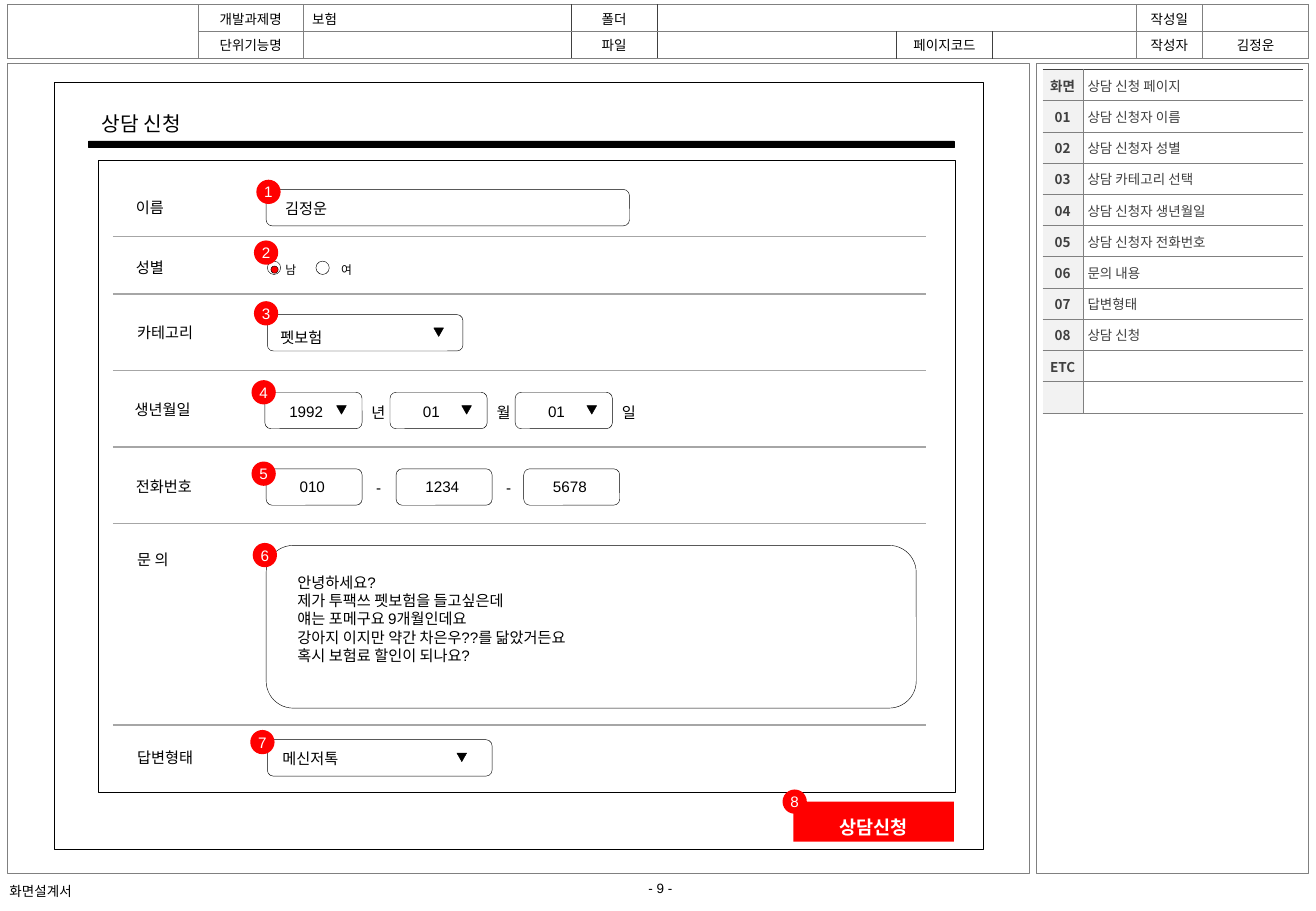
from dataclasses import dataclass

from lxml.etree import SubElement
from pptx import Presentation
from pptx.dml.color import RGBColor
from pptx.enum.shapes import MSO_CONNECTOR, MSO_SHAPE
from pptx.enum.text import MSO_ANCHOR, PP_ALIGN
from pptx.oxml.ns import qn
from pptx.util import Inches, Pt

KOREAN_FONT = "Noto Sans CJK KR"
LEFT, CENTER, JUSTIFY = PP_ALIGN.LEFT, PP_ALIGN.CENTER, PP_ALIGN.JUSTIFY
BLACK, WHITE, RED, GRAY, DARK = "000000", "FFFFFF", "FF0000", "808080", "404040"


@dataclass
class Label:
    text: str
    left: float
    top: float


@dataclass
class Field:
    left: float
    top: float
    width: float
    text: str
    center: float  # middle of the text, from the left edge
    arrow: float | None = None  # arrow position, from the left edge
    drop: float = 0.03  # text box position, from the top edge


@dataclass
class Border:
    color: str = GRAY
    width: float = 0.25


LABELS = [
    Label("이름", 1.02, 1.58), Label("성별", 1.02, 2.08), Label("카테고리", 1.03, 2.61),
    Label("생년월일", 1.01, 3.25), Label("전화번호", 1.02, 3.88),
    Label("문 의", 1.03, 4.48), Label("답변형태", 1.03, 6.11),
]
FIELDS = [
    Field(2.19, 1.56, 2.99, "김정운", 0.33),
    Field(2.2, 2.59, 1.61, "펫보험", 0.28, 1.37, 0.06),
    *[Field(2.18 + 1.03 * i, 3.23, 0.8, t, 0.34, 0.59) for i, t in enumerate(["1992", "01", "01"])],
    *[Field(x, 3.86, 0.79, t, 0.38, drop=0.02)
      for x, t in [(2.19, "010"), (3.26, "1234"), (4.31, "5678")]],
    Field(2.2, 6.09, 1.85, "메신저톡", 0.355, 1.56),
]
DIVIDERS = [1.95, 2.42, 3.05, 3.68, 4.31, 5.97]
BADGES = [(2.11, 1.48), (2.09, 1.98), (2.09, 2.48), (2.07, 3.13),
          (2.07, 3.8), (2.08, 4.47), (2.06, 6.01), (6.44, 6.5)]
INQUIRY = ["안녕하세요?", "제가 투팩쓰 펫보험을 들고싶은데", "얘는 포메구요 9개월인데요",
           "강아지 이지만 약간 차은우??를 닮았거든요", "혹시 보험료 할인이 되나요?"]
HEADER_COLS = [1.57, 0.87, 2.2, 0.71, 1.97, 0.79, 1.18, 0.55, 0.87]
HEADER_ROWS = [["", "개발과제명", "보험", "폴더", "", "", "", "작성일", ""],
               ["", "단위기능명", "", "파일", "", "페이지코드", "", "작성자", "김정운"]]
NOTES = [("화면", "상담 신청 페이지"), ("01", "상담 신청자 이름"), ("02", "상담 신청자 성별"),
         ("03", "상담 카테고리 선택"), ("04", "상담 신청자 생년월일"),
         ("05", "상담 신청자 전화번호"), ("06", "문의 내용"), ("07", "답변형태"),
         ("08", "상담 신청"), ("ETC", ""), ("", "")]

prs = Presentation()
prs.slide_width, prs.slide_height = Inches(10.83), Inches(7.5)
s = prs.slides.add_slide(prs.slide_layouts[6])


def rgb(color: str) -> RGBColor:
    return RGBColor.from_string(color)


def write(tf, lines: list[str], size: float, color: str = BLACK, align=LEFT,
          bold: bool = False, font: str = "Arial") -> None:
    for i, line in enumerate(lines):
        p = tf.add_paragraph() if i else tf.paragraphs[0]
        p.alignment = align
        p.font.size, p.font.bold, p.font.name = Pt(size), bold, font
        p.font.color.rgb = rgb(color)
        if line:
            r = p.add_run()
            r.text = line
            SubElement(r.font._element, qn("a:ea"), typeface=KOREAN_FONT)
        else:
            SubElement(p._p, qn("a:endParaRPr"), sz=str(int(size * 100)))


def add_text(lines: list[str], left: float, top: float, width: float, height: float = 0.25,
             size: float = 9, align=LEFT, wrap: bool = False) -> None:
    tf = s.shapes.add_textbox(Inches(left), Inches(top), Inches(width), Inches(height)).text_frame
    tf.word_wrap = wrap
    write(tf, lines, size, align=align)


def add_box(kind, left: float, top: float, width: float, height: float,
            fill: str | None = None, line: str | None = BLACK, weight: float = 0.25):
    sp = s.shapes.add_shape(kind, Inches(left), Inches(top), Inches(width), Inches(height))
    sp.shadow.inherit = False
    if fill:
        sp.fill.solid()
        sp.fill.fore_color.rgb = rgb(fill)
    else:
        sp.fill.background()
    if line:
        sp.line.color.rgb = rgb(line)
        sp.line.width = Pt(weight)
    else:
        sp.line.fill.background()
    return sp


def add_divider(y: float) -> None:
    c = s.shapes.add_connector(MSO_CONNECTOR.STRAIGHT, Inches(0.93), Inches(y), Inches(7.62), Inches(y))
    c.line.color.rgb = rgb("A6A6A6")
    c.line.width = Pt(0.75)
    SubElement(c._element.spPr, qn("a:effectLst"))


def add_field(f: Field) -> None:
    add_box(MSO_SHAPE.ROUNDED_RECTANGLE, f.left, f.top, f.width, 0.3)
    add_text([f.text], f.left + f.center - 0.35, f.top + f.drop, 0.7, align=CENTER)
    if f.arrow is not None:
        add_box(MSO_SHAPE.ISOSCELES_TRIANGLE, f.left + f.arrow, f.top + 0.11, 0.08, 0.07, BLACK).rotation = 180


def add_grid(left: float, top: float, cols: list[float], rows: list[float]):
    table = s.shapes.add_table(len(rows), len(cols), Inches(left), Inches(top),
                               Inches(sum(cols)), Inches(sum(rows))).table
    table.first_row = table.horz_banding = False
    for col, width in zip(table.columns, cols):
        col.width = Inches(width)
    for row, height in zip(table.rows, rows):
        row.height = Inches(height)
    return table


def style_cell(cell, margins: tuple[float, ...], borders: dict[str, Border | None],
               fill: str | None = None) -> None:
    cell.margin_left, cell.margin_top, cell.margin_right, cell.margin_bottom = map(Inches, margins)
    tcPr = cell._tc.get_or_add_tcPr()
    for side in "LRTB":
        b = borders[side]
        ln = SubElement(tcPr, qn(f"a:ln{side}"), w=str(Pt(b.width if b else 0)))
        if b:
            SubElement(SubElement(ln, qn("a:solidFill")), qn("a:srgbClr"), val=b.color)
        else:
            SubElement(ln, qn("a:noFill"))
    if fill:
        cell.fill.solid()
        cell.fill.fore_color.rgb = rgb(fill)
    else:
        cell.fill.background()


# Footer and page frames
add_text(["- 9 -"], 5.18, 7.2, 0.51, 0.23, 8, CENTER)
add_text(["화면설계서"], -0.02, 7.22, 0.76, 0.24, 8)
add_box(MSO_SHAPE.RECTANGLE, 8.53, 0.52, 2.24, 6.67, WHITE, GRAY, 0.5)
add_box(MSO_SHAPE.RECTANGLE, 0.06, 0.52, 8.41, 6.67, None, GRAY, 0.5)

# Header table
header = add_grid(0.06, 0.04, HEADER_COLS, [0.22, 0.22])
outer, inner = Border(GRAY, 0.5), Border(DARK, 0.25)
for y, texts in enumerate(HEADER_ROWS):
    for x, text in enumerate(texts):
        cell = header.cell(y, x)
        style_cell(cell, (0.07 if x == 2 else 0.04, 0.02, 0.04, 0.02),
                   {"L": inner if 3 <= x <= 6 else outer,
                    "R": inner if 2 <= x <= 5 else outer, "T": outer, "B": outer})
        cell.vertical_anchor = MSO_ANCHOR.MIDDLE
        write(cell.text_frame, [text], 8, align=LEFT if x == 2 else CENTER, font=KOREAN_FONT)
header.cell(0, 0).merge(header.cell(1, 0))
header.cell(0, 4).merge(header.cell(0, 6))

# Description table
notes = add_grid(8.58, 0.57, [0.33, 1.81], [2.83 / len(NOTES)] * len(NOTES))
thin = Border()
for y, row in enumerate(NOTES):
    for x, text in enumerate(row):
        cell = notes.cell(y, x)
        is_code = x == 0
        style_cell(cell, (0 if is_code else 0.04, 0.05, 0, 0.05),
                   {"L": None if is_code else thin, "R": thin if is_code else None,
                    "T": thin if y else Border(DARK, 0.5), "B": thin},
                   "F2F2F2" if is_code else None)
        write(cell.text_frame, [text], 8, DARK, CENTER if is_code else LEFT, is_code, KOREAN_FONT)

# Form frame and title
add_box(MSO_SHAPE.RECTANGLE, 0.45, 0.68, 7.64, 6.31)
add_box(MSO_SHAPE.RECTANGLE, 0.73, 1.16, 7.12, 0.05, BLACK)
add_text(["상담 신청"], 0.74, 0.87, 2.13, 0.3, 12, wrap=True)
add_box(MSO_SHAPE.RECTANGLE, 0.81, 1.32, 7.05, 5.2)

# Form rows
for y in DIVIDERS:
    add_divider(y)
for label in LABELS:
    add_text([label.text], label.left, label.top, 1.09, wrap=True)
for field in FIELDS:
    add_field(field)
for i, unit in enumerate("년월일"):
    add_text([unit], 2.95 + 1.03 * i, 3.27, 0.33, align=CENTER)
for x in (2.99, 4.06):
    add_text(["-"], x, 3.89, 0.25, align=CENTER)

# Gender choice
for circle_left, text_left, gender in [(2.2, 2.25, "남"), (2.6, 2.71, "여")]:
    add_box(MSO_SHAPE.OVAL, circle_left, 2.15, 0.11, 0.11)
    add_text([gender], text_left, 2.11, 0.34, 0.22, 7, wrap=True)
add_box(MSO_SHAPE.OVAL, 2.23, 2.19, 0.06, 0.06, RED)

# Inquiry text
add_box(MSO_SHAPE.ROUNDED_RECTANGLE, 2.19, 4.49, 5.35, 1.34)
add_text(INQUIRY, 2.35, 4.67, 2.64, 0.86, align=JUSTIFY)

# Submit button and numbered badges
button = add_box(MSO_SHAPE.RECTANGLE, 6.53, 6.6, 1.32, 0.33, RED, None)
write(button.text_frame, ["상담신청"], 11, WHITE, CENTER, True)
button.text_frame.paragraphs[0].line_spacing = 1.5
for number, (x, y) in enumerate(BADGES, 1):
    badge = add_box(MSO_SHAPE.OVAL, x, y, 0.2, 0.2, RED, None)
    badge.text_frame.word_wrap = False
    write(badge.text_frame, [str(number)], 9, WHITE, CENTER)

prs.save("out.pptx")
